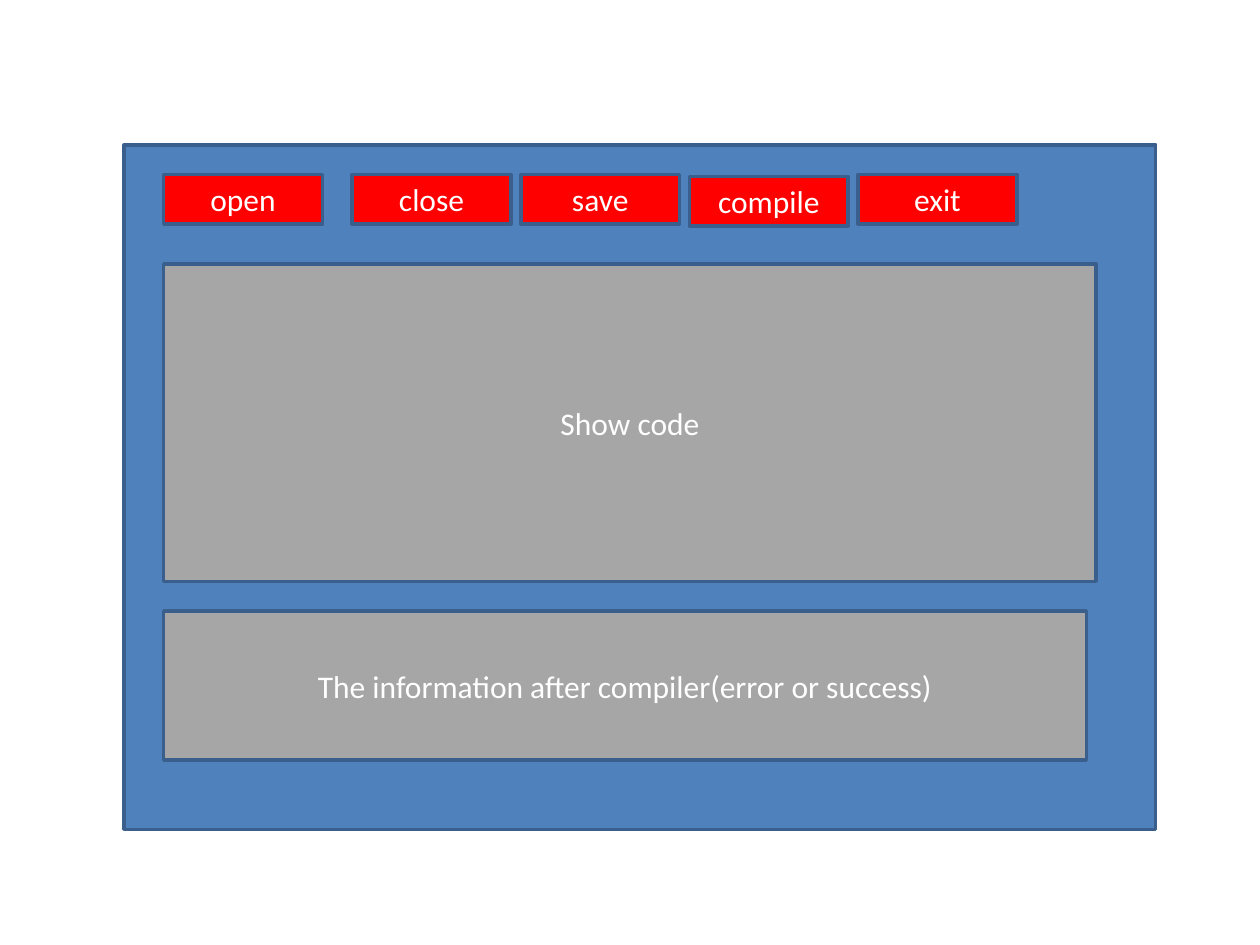
import pptx
import pptx.util
import pptx.dml.color
import pptx.enum.shapes
import pptx.enum.text

Cm = pptx.util.Cm
Pt = pptx.util.Pt
RGBColor = pptx.dml.color.RGBColor

BLUE = RGBColor(0x4F, 0x81, 0xBD)
BORDER = RGBColor(0x3A, 0x5F, 0x8C)
RED = RGBColor(0xFF, 0x00, 0x00)
GRAY = RGBColor(0xA6, 0xA6, 0xA6)
WHITE = RGBColor(0xFF, 0xFF, 0xFF)


def add_box(s, left, top, width, height, fill, text=""):
    """Draw a bordered rectangle, measured in cm, with a centred label."""
    sp = s.shapes.add_shape(pptx.enum.shapes.MSO_SHAPE.RECTANGLE,
                            Cm(left), Cm(top), Cm(width), Cm(height))
    sp.shadow.inherit = False
    sp.fill.solid()
    sp.fill.fore_color.rgb = fill
    sp.line.color.rgb = BORDER
    sp.line.width = Pt(2)
    if text:
        tf = sp.text_frame
        tf.text = text
        tf.word_wrap = True
        tf.vertical_anchor = pptx.enum.text.MSO_ANCHOR.MIDDLE
        p = tf.paragraphs[0]
        p.alignment = pptx.enum.text.PP_ALIGN.CENTER
        font = p.runs[0].font
        font.name = "Calibri"
        font.size = Pt(18)
        font.color.rgb = WHITE


def add_toolbar(s, left, top, width, height):
    """Place the open button, then the others at an equal pitch."""
    add_box(s, left, top, width, height, RED, "open")
    first, pitch = left + 3.8, 3.4
    for i, label in enumerate(["close", "save", "compile", "exit"]):
        # The compile button sits slightly lower than its neighbours
        drop = 0.04 if label == "compile" else 0
        add_box(s, first + i * pitch, top + drop, width, height, RED, label)


def add_window(s, left, top, width, height):
    """Draw the compiler window with its toolbar and two panes."""
    add_box(s, left, top, width, height, BLUE)
    inner = left + 0.8
    add_toolbar(s, inner, top + 0.6, 3.2, 1)
    # Code pane and message pane
    add_box(s, inner, top + 2.4, width - 2, 6.4, GRAY, "Show code")
    add_box(s, inner, top + 9.4, width - 2.2, 3, GRAY,
            "The information after compiler(error or success)")


def main():
    prs = pptx.Presentation()
    prs.slide_width, prs.slide_height = Cm(25.4), Cm(19.05)
    s = prs.slides.add_slide(prs.slide_layouts[6])
    add_window(s, 2.5, 2.92, 20.8, 13.8)
    prs.save("out.pptx")


if __name__ == "__main__":
    main()
